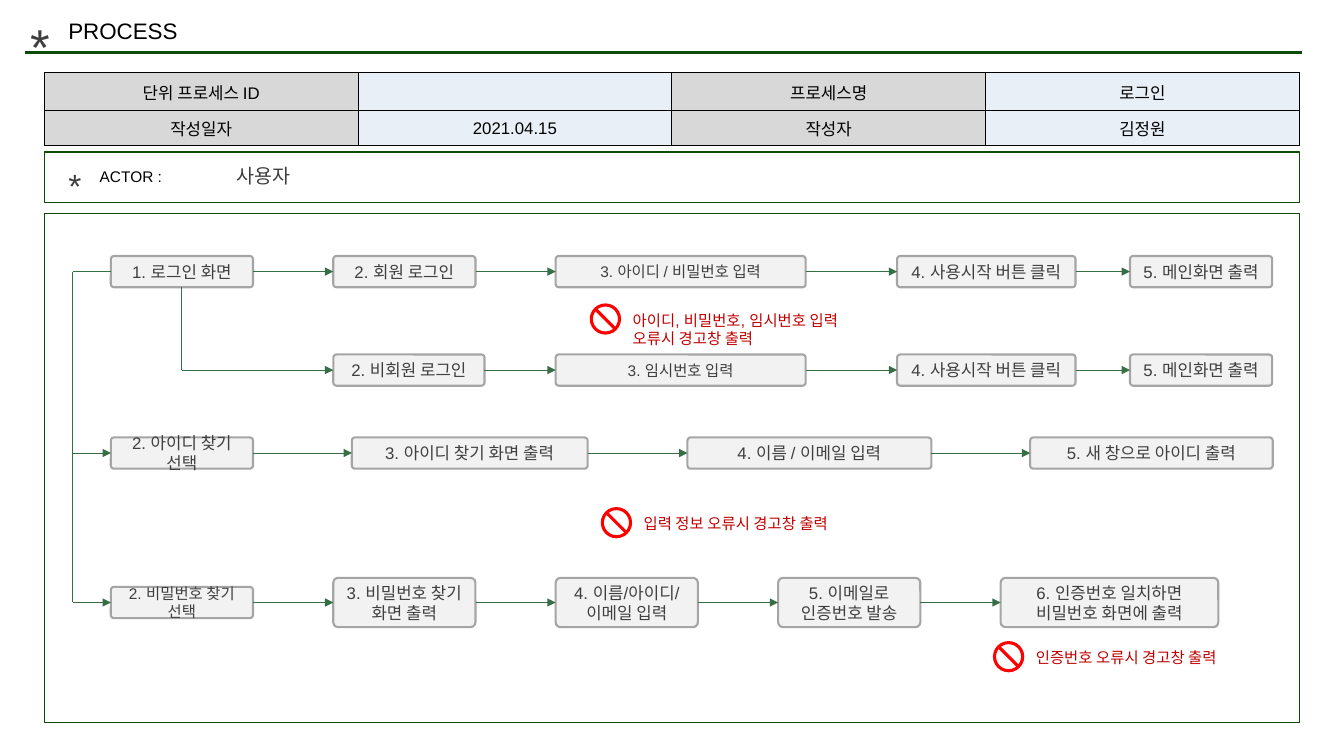
from pptx import Presentation
from pptx.dml.color import RGBColor
from pptx.enum.shapes import MSO_CONNECTOR, MSO_SHAPE
from pptx.enum.text import MSO_ANCHOR, PP_ALIGN
from pptx.oxml.ns import qn
from pptx.util import Inches, Pt
from lxml import etree

LINE = MSO_CONNECTOR.STRAIGHT
RECT, ROUND, STOP = MSO_SHAPE.RECTANGLE, MSO_SHAPE.ROUNDED_RECTANGLE, MSO_SHAPE.NO_SYMBOL
MID, TOP = MSO_ANCHOR.MIDDLE, MSO_ANCHOR.TOP
LEFT, CENTER = PP_ALIGN.LEFT, PP_ALIGN.CENTER
WIDE, HIGH = Inches(13.33), Inches(7.5)
COL, ROW = WIDE / 100, HIGH / 100
FONT = "Arial"
COLORS = {
    "rule": "0C4B09", "flow": "366E45", "ink": "3F3F3F", "black": "000000",
    "box": "F2F2F2", "edge": "A5A5A5", "head": "D8D8D8", "cell": "E9EFF7",
    "stop": "FF0000", "warn": "C00000",
}
SPINE, EDGE, SPAN = 5.4, 3.3, 93.38
FIRST, STEP, STD = 8.25, 16.55, 10.58
STOPS = [FIRST + i * STEP for i in range(5)]
END, LAST = 66.75, 84.08
HEAD = [
    ["단위 프로세스 ID", "", "프로세스명", "로그인"],
    ["작성일자", "2021.04.15", "작성자", "김정원"],
]
LANES = [
    (35.93, [(FIRST, STD, 4.13, 12, "1. 로그인 화면"),
             (STOPS[1], STD, 4.13, 12, "2. 회원 로그인"),
             (STOPS[2], 18.6, 4.13, 11, "3. 아이디 / 비밀번호 입력"),
             (END, 13.28, 4.13, 12, "4. 사용시작 버튼 클릭"),
             (LAST, STD, 4.13, 12, "5. 메인화면 출력")]),
    (48.95, [(STOPS[1], 11.25, 4.13, 12, "2. 비회원 로그인"),
             (STOPS[2], 18.6, 4.13, 11, "3. 임시번호 입력"),
             (END, 13.28, 4.13, 12, "4. 사용시작 버튼 클릭"),
             (LAST, STD, 4.13, 12, "5. 메인화면 출력")]),
    (59.93, [(FIRST, STD, 4.13, 12, "2. 아이디 찾기 선택"),
             (26.18, 17.55, 4.13, 12, "3. 아이디 찾기 화면 출력"),
             (51.15, 18.15, 4.13, 12, "4. 이름 / 이메일 입력"),
             (76.65, 18.05, 4.13, 12, "5. 새 창으로 아이디 출력")]),
    (79.7, [(FIRST, STD, 4.13, 11, "2. 비밀번호 찾기 선택"),
            (STOPS[1], STD, 6.53, 12, "3. 비밀번호 찾기\n화면 출력"),
            (STOPS[2], STD, 6.53, 12, "4. 이름/아이디/\n이메일 입력"),
            (STOPS[3], STD, 6.53, 12, "5. 이메일로\n인증번호 발송"),
            (STOPS[4], 16.2, 6.53, 12, "6. 인증번호 일치하면\n비밀번호 화면에 출력")]),
]
NOTES = [
    (43.88, 40.13, "아이디, 비밀번호, 임시번호 입력 오류시 경고창 출력"),
    (44.7, 67.07, "입력 정보 오류시 경고창 출력"),
    (73.88, 84.8, "인증번호 오류시 경고창 출력"),
]
LABELS = [
    (1.5, 1.33, 3.9, 9.47, "*", 36, "ink"),
    (4.35, 1.6, 32.4, 4.93, "PROCESS", 16, "black"),
    (4.35, 21.2, 3.9, 6.53, "*", 24, "ink"),
    (6.68, 21.47, 9.98, 3.87, "ACTOR :", 11, "black"),
    (16.88, 21.07, 32.4, 4.27, "사용자", 14, "ink"),
]


def paint(color):
    """Return the named colour."""
    return RGBColor.from_string(COLORS[color])


def area(x, y, w, h):
    """Turn columns and rows into a place and size."""
    return round(x * COL), round(y * ROW), round(w * COL), round(h * ROW)


def write(frame, text, size=12, color="ink", align=LEFT, anchor=TOP):
    """Write text into a frame, one paragraph a line."""
    frame.word_wrap = True
    frame.vertical_anchor = anchor
    for i, line in enumerate(text.split("\n")):
        para = frame.add_paragraph() if i else frame.paragraphs[0]
        para.alignment = align
        run = para.add_run()
        run.text = line
        run.font.name = FONT
        run.font.size = Pt(size)
        run.font.color.rgb = paint(color)


def label(slide, x, y, w, h, text, size, color):
    """Add a plain text box."""
    box = slide.shapes.add_textbox(*area(x, y, w, h))
    write(box.text_frame, text, size=size, color=color)


def shape(slide, kind, place, fill=None, line=None, width=1, adj=None):
    """Add a preset shape with its fill and line."""
    item = slide.shapes.add_shape(kind, *area(*place))
    item.shadow.inherit = False
    if adj is not None:
        item.adjustments[0] = adj
    if fill:
        item.fill.solid()
        item.fill.fore_color.rgb = paint(fill)
    else:
        item.fill.background()
    if line:
        item.line.color.rgb = paint(line)
        item.line.width = Pt(width)
    else:
        item.line.fill.background()
    return item


def step(slide, mid, x, w, h, size, text):
    """Add one process step centred on its lane."""
    box = shape(slide, ROUND, (x, mid - h / 2, w, h), "box", "edge", 1.5, 0.1)
    frame = box.text_frame
    frame.margin_left = frame.margin_right = Inches(0.04)
    frame.margin_top = frame.margin_bottom = Inches(0.04)
    write(frame, text, size=size, align=CENTER, anchor=MID)
    return box


def link(slide, start, end, color="flow", width=0.75, tip=True):
    """Join two ends, each a grid point or a (shape, side) pair."""
    points = [(0, 0) if hasattr(e[0], "shape_id") else area(*e, 0, 0)[:2]
              for e in (start, end)]
    wire = slide.shapes.add_connector(LINE, *points[0], *points[1])
    for spot, join in ((start, wire.begin_connect), (end, wire.end_connect)):
        if hasattr(spot[0], "shape_id"):
            join(*spot)
    wire.line.color.rgb = paint(color)
    wire.line.width = Pt(width)
    if tip:
        etree.SubElement(wire.line._get_or_add_ln(), qn("a:tailEnd"), type="triangle")
    etree.SubElement(wire._element.spPr, qn("a:effectLst"))


def border(cell):
    """Draw a thin black line on each side of a cell."""
    props = cell._tc.get_or_add_tcPr()
    for i, side in enumerate(("a:lnL", "a:lnR", "a:lnT", "a:lnB")):
        edge = etree.Element(qn(side), w=str(Pt(0.75)))
        fill = etree.SubElement(edge, qn("a:solidFill"))
        etree.SubElement(fill, qn("a:srgbClr"), val=COLORS["black"])
        props.insert(i, edge)


def table(slide):
    """Add the table of process facts."""
    grid = slide.shapes.add_table(2, 4, *area(EDGE, 9.6, SPAN, 8)).table
    for r, row in enumerate(HEAD):
        for c, text in enumerate(row):
            cell = grid.cell(r, c)
            cell.fill.solid()
            cell.fill.fore_color.rgb = paint("cell" if c % 2 else "head")
            cell.margin_top = cell.margin_bottom = Inches(0.05)
            write(cell.text_frame, text, color="black", align=CENTER)
            cell.vertical_anchor = MID
            border(cell)


def flow(slide):
    """Add the lanes of steps and the lines between them."""
    lanes = [[step(slide, mid, *box) for box in boxes] for mid, boxes in LANES]
    for lane in lanes:
        for a, b in zip(lane, lane[1:]):
            link(slide, (a, 3), (b, 1))
    login, guest, find, reset = (lane[0] for lane in lanes)
    mids = [mid for mid, _ in LANES]
    link(slide, (SPINE, mids[0]), (login, 1), tip=False)
    link(slide, (SPINE, mids[0]), (SPINE, mids[3]), tip=False)
    link(slide, (SPINE, mids[2]), (find, 1))
    link(slide, (SPINE, mids[3]), (reset, 1))
    turn = (FIRST + STD / 2, mids[1])
    link(slide, (login, 2), turn, tip=False)
    link(slide, turn, (guest, 1))


def note(slide, x, y, text):
    """Add a stop sign with its warning."""
    shape(slide, STOP, (x, y, 2.33, 4.13), "stop", adj=0.1)
    label(slide, x + 2.45, y + 0.3, 19.58, 3.87, text, 11, "warn")


def main():
    """Build the slide and save it."""
    deck = Presentation()
    deck.slide_width, deck.slide_height = WIDE, HIGH
    slide = deck.slides.add_slide(deck.slide_layouts[6])
    link(slide, (1.88, 6.93), (96.9, 6.93), color="rule", width=2.25, tip=False)
    table(slide)
    for y, h in ((20.13, 6.67), (28.27, 67.33)):
        shape(slide, RECT, (EDGE, y, SPAN, h), line="rule")
    for item in LABELS:
        label(slide, *item)
    flow(slide)
    for item in NOTES:
        note(slide, *item)
    deck.save("out.pptx")


if __name__ == "__main__":
    main()
